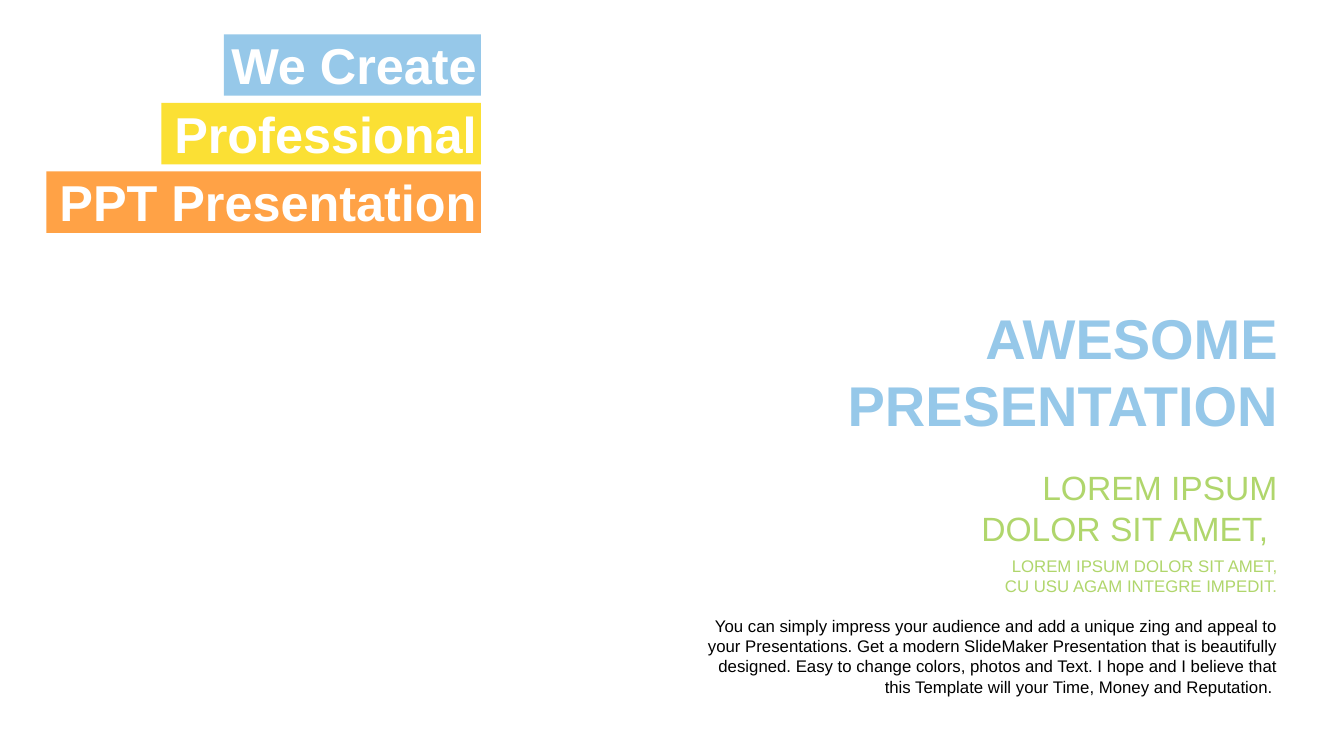
from pptx import Presentation
from pptx.dml.color import RGBColor
from pptx.enum.shapes import MSO_SHAPE
from pptx.enum.text import MSO_ANCHOR, PP_ALIGN
from pptx.util import Inches, Pt

RECTANGLE = MSO_SHAPE.RECTANGLE
TOP, MIDDLE = MSO_ANCHOR.TOP, MSO_ANCHOR.MIDDLE
RIGHT = PP_ALIGN.RIGHT

BLUE, YELLOW, ORANGE, GREEN = "96C8E9", "FBE034", "FFA246", "B0D66C"
WHITE, BLACK = "FFFFFF", "000000"


def rgb(value):
    return RGBColor.from_string(value)


def write(frame, lines, size, color, bold, anchor):
    frame.word_wrap = True
    frame.vertical_anchor = anchor
    for index, line in enumerate(lines):
        paragraph = frame.paragraphs[0] if index == 0 else frame.add_paragraph()
        paragraph.alignment = RIGHT
        run = paragraph.add_run()
        run.text = line
        run.font.name = "Arial"
        run.font.size = Pt(size)
        run.font.bold = bold
        run.font.color.rgb = rgb(color)


deck = Presentation()
deck.slide_width, deck.slide_height = Inches(13.33), Inches(7.5)
slide = deck.slides.add_slide(deck.slide_layouts[6])

banner_right, banner_top, banner_pitch, banner_height = 4.77, 0.34, 0.68, 0.61
banners = [
    ("We Create", 2.55, BLUE),
    ("Professional ", 3.17, YELLOW),
    ("PPT Presentation", 4.31, ORANGE),
]
for row, (words, width, color) in enumerate(banners):
    banner = slide.shapes.add_shape(
        RECTANGLE,
        Inches(banner_right - width), Inches(banner_top + row * banner_pitch),
        Inches(width), Inches(banner_height))
    banner.shadow.inherit = False
    banner.fill.solid()
    banner.fill.fore_color.rgb = rgb(color)
    banner.line.fill.background()
    frame = banner.text_frame
    frame.margin_left = frame.margin_right = Inches(0.04)
    frame.margin_top = frame.margin_bottom = 0
    write(frame, [words], 36, WHITE, True, TOP)

column_right = 12.77
passages = [
    (["AWESOME", "PRESENTATION"], 2.95, 4.65, 1.45, 40, BLUE, True, MIDDLE),
    (["LOREM IPSUM DOLOR SIT AMET,", "CU USU AGAM INTEGRE IMPEDIT."],
     5.46, 4.06, 0.5, 12, GREEN, False, MIDDLE),
    (["LOREM IPSUM", "DOLOR SIT AMET, "], 4.58, 4.06, 0.91, 24, GREEN, False, MIDDLE),
    (["You can simply impress your audience and add a unique zing and appeal to "
      "your Presentations. Get a modern SlideMaker Presentation that is beautifully "
      "designed. Easy to change colors, photos and Text. I hope and I believe that "
      "this Template will your Time, Money and Reputation. "],
     6.06, 5.99, 0.91, 12, BLACK, False, TOP),
]
for lines, top, width, height, size, color, bold, anchor in passages:
    passage = slide.shapes.add_textbox(
        Inches(column_right - width), Inches(top), Inches(width), Inches(height))
    write(passage.text_frame, lines, size, color, bold, anchor)

deck.save("out.pptx")
